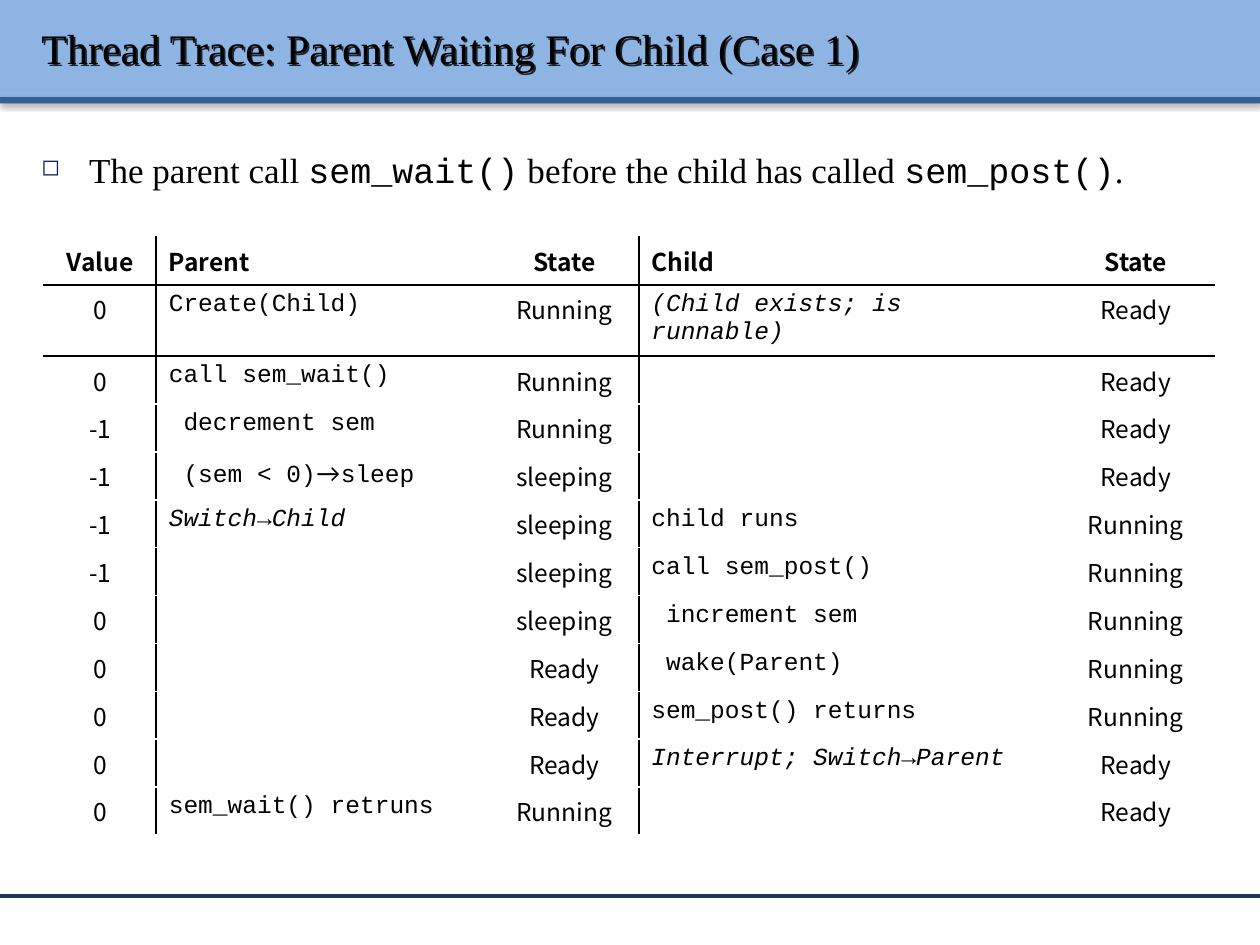
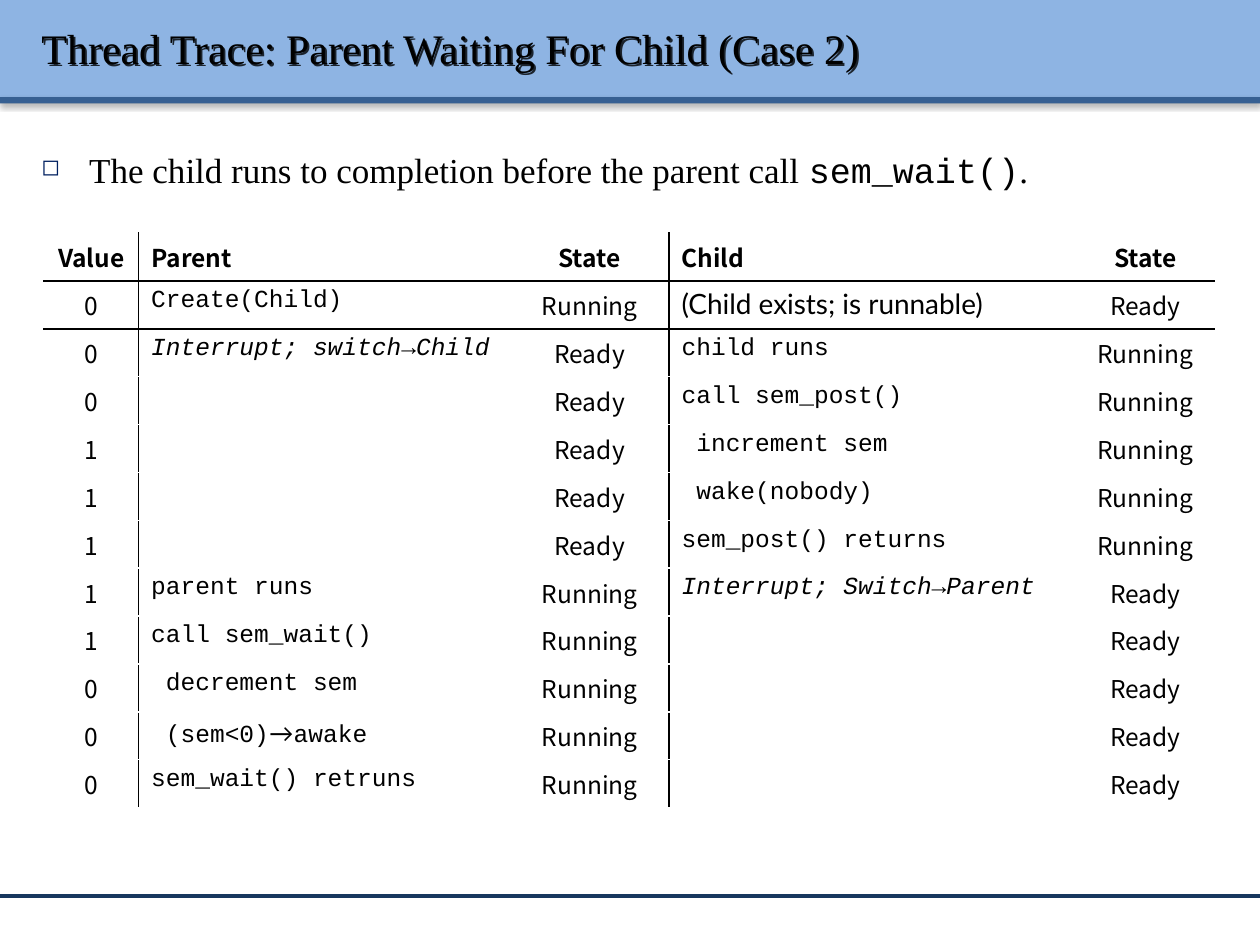
from collections import namedtuple

from lxml import etree
from pptx import Presentation
from pptx.dml.color import RGBColor
from pptx.enum.shapes import MSO_CONNECTOR, MSO_SHAPE
from pptx.enum.text import MSO_ANCHOR, PP_ALIGN
from pptx.oxml.ns import qn
from pptx.util import Inches, Pt

BLACK = RGBColor(0x00, 0x00, 0x00)
WHITE = RGBColor(0xFF, 0xFF, 0xFF)
BAND_BLUE = RGBColor(0x8E, 0xB4, 0xE3)
STRIPE_BLUE = RGBColor(0x37, 0x60, 0x92)
FOOTER_BLUE = RGBColor(0x17, 0x37, 0x5E)
BULLET_BLUE = RGBColor(0x00, 0x20, 0x60)

Style = namedtuple("Style", "font size bold italic", defaults=(False, False))
TITLE = Style("Times New Roman", 24)
PROSE = Style("Times New Roman", 20)
PROSE_CODE = Style("Courier New", 20)
HEADER = Style("Noto Sans CJK KR", 14, bold=True)
STATE = Style("Noto Sans CJK KR", 14)
CODE = Style("Courier New", 14)
EVENT = Style("Courier New", 14, italic=True)
ARROW = Style("Lato", 14)
REMARK = Style("Lato", 16)

HEADINGS = ("Value", "Parent", "State", "Child", "State")
CODE_COLUMNS = (1, 3)
RULED_COLUMNS = (0, 2)
LAST_RULED_ROW = 1
ROW_HEIGHT = 0.38

CASES = [
    {
        "title": "Thread Trace: Parent Waiting For Child (Case 1)",
        "summary": [
            ("The parent call ", PROSE), ("sem_wait()", PROSE_CODE),
            (" before the child has called ", PROSE),
            ("sem_post()", PROSE_CODE), (".", PROSE),
        ],
        "top": 1.88,
        "widths": (0.89, 2.65, 1.18, 3.32, 1.25),
        "trace": [
            ("0", "Create(Child)", "Running", [("(Child exists; is runnable)", EVENT)], "Ready"),
            ("0", "call sem_wait()", "Running", "", "Ready"),
            ("-1", " decrement sem", "Running", "", "Ready"),
            ("-1", [(" (sem < 0)", CODE), ("→", ARROW), ("sleep", CODE)], "sleeping", "", "Ready"),
            ("-1", [("Switch→Child", EVENT)], "sleeping", "child runs", "Running"),
            ("-1", "", "sleeping", "call sem_post()", "Running"),
            ("0", "", "sleeping", " increment sem", "Running"),
            ("0", "", "Ready", " wake(Parent)", "Running"),
            ("0", "", "Ready", "sem_post() returns", "Running"),
            ("0", "", "Ready", [("Interrupt; Switch→Parent", EVENT)], "Ready"),
            ("0", "sem_wait() retruns", "Running", "", "Ready"),
        ],
    },
    {
        "title": "Thread Trace: Parent Waiting For Child (Case 2)",
        "summary": [
            ("The child runs to completion before the parent call ", PROSE),
            ("sem_wait()", PROSE_CODE), (".", PROSE),
        ],
        "top": 1.85,
        "widths": (0.75, 2.95, 1.26, 3.23, 1.1),
        "trace": [
            ("0", "Create(Child)", "Running", [("(Child exists; is runnable)", REMARK)], "Ready"),
            ("0", [("Interrupt; switch→Child", EVENT)], "Ready", "child runs", "Running"),
            ("0", "", "Ready", "call sem_post()", "Running"),
            ("1", "", "Ready", " increment sem", "Running"),
            ("1", "", "Ready", " wake(nobody)", "Running"),
            ("1", "", "Ready", "sem_post() returns", "Running"),
            ("1", "parent runs", "Running", [("Interrupt; Switch→Parent", EVENT)], "Ready"),
            ("1", "call sem_wait()", "Running", "", "Ready"),
            ("0", " decrement sem", "Running", "", "Ready"),
            ("0", [(" (sem<0)", CODE), ("→", ARROW), ("awake", CODE)], "Running", "", "Ready"),
            ("0", "sem_wait() retruns", "Running", "", "Ready"),
        ],
    },
]


def add_element(parent, tag, **attributes):
    element = etree.SubElement(parent, qn(tag))
    for name, value in attributes.items():
        element.set(name, str(value))
    return element


def add_shadow(shape, blur, distance, degrees, opacity):
    shape.shadow.inherit = False
    effects = shape._element.spPr.find(qn("a:effectLst"))
    shadow = add_element(effects, "a:outerShdw", blurRad=Pt(blur), dist=Pt(distance),
                         dir=degrees * 60000, rotWithShape=0)
    color = add_element(shadow, "a:srgbClr", val=BLACK)
    add_element(color, "a:alpha", val=opacity * 1000)


def add_runs(para, runs):
    for text, style in runs:
        span = para.add_run()
        span.text = text
        span.font.name = style.font
        span.font.size = Pt(style.size)
        span.font.bold = style.bold
        span.font.italic = style.italic
        span.font.color.rgb = BLACK


def add_band(page, top, height, color):
    band = page.shapes.add_shape(MSO_SHAPE.RECTANGLE, 0, Inches(top), Inches(10), Inches(height))
    band.fill.solid()
    band.fill.fore_color.rgb = color
    band.line.fill.background()
    add_shadow(band, 3.1, 1.6, 90, 38)


def add_frame(page):
    add_band(page, 0, 0.77, BAND_BLUE)
    add_band(page, 0.77, 0.05, STRIPE_BLUE)
    footer = page.shapes.add_connector(
        MSO_CONNECTOR.STRAIGHT, 0, Inches(7.11), Inches(10), Inches(7.11))
    footer.line.color.rgb = FOOTER_BLUE
    footer.line.width = Pt(2)
    add_element(footer._element.spPr, "a:effectLst")


def add_text(page, top, height, runs):
    box = page.shapes.add_textbox(Inches(0.23), Inches(top), Inches(9.61), Inches(height))
    box.text_frame.word_wrap = True
    add_runs(box.text_frame.paragraphs[0], runs)
    return box


def add_title(page, title):
    box = add_text(page, 0.06, 0.64, [(title, TITLE)])
    box.text_frame.vertical_anchor = MSO_ANCHOR.MIDDLE
    add_shadow(box, 0, 1.5, 45, 80)


def add_summary(page, runs):
    para = add_text(page, 0.96, 6.02, runs).text_frame.paragraphs[0]
    para.line_spacing = 1.5
    properties = para._p.get_or_add_pPr()
    properties.set("marL", str(Inches(0.38)))
    properties.set("indent", str(-Inches(0.38)))
    color = add_element(properties, "a:buClr")
    add_element(color, "a:srgbClr", val=BULLET_BLUE)
    add_element(properties, "a:buSzPct", val=65000)
    add_element(properties, "a:buChar", char="◻")


def set_border(cell, side, color, width):
    line = add_element(cell._tc.get_or_add_tcPr(), f"a:{side}", w=Pt(width))
    fill = add_element(line, "a:solidFill")
    add_element(fill, "a:srgbClr", val=color)


def set_borders(cell, row, column):
    black_sides = {
        "lnL": column - 1 in RULED_COLUMNS,
        "lnR": column in RULED_COLUMNS,
        "lnT": 0 <= row - 1 <= LAST_RULED_ROW,
        "lnB": row <= LAST_RULED_ROW,
    }
    for side, black in black_sides.items():
        wide = black and side in ("lnT", "lnB")
        set_border(cell, side, BLACK if black else WHITE, 1.5 if wide else 1)


def fill_cell(cell, content, row, column):
    para = cell.text_frame.paragraphs[0]
    in_code = column in CODE_COLUMNS
    para.alignment = PP_ALIGN.LEFT if in_code else PP_ALIGN.CENTER
    style = HEADER if row == 0 else CODE if in_code else STATE
    if not content:
        add_element(para._p, "a:endParaRPr", sz=style.size * 100)
    else:
        add_runs(para, [(content, style)] if isinstance(content, str) else content)
    set_borders(cell, row, column)
    cell.fill.background()


def add_trace(page, case):
    rows = [HEADINGS] + case["trace"]
    frame = page.shapes.add_table(
        len(rows), len(HEADINGS), Inches(0.35), Inches(case["top"]),
        Inches(sum(case["widths"])), Inches(ROW_HEIGHT * len(rows)))
    table = frame.table
    table.first_row = False
    table.horz_banding = False
    for column, width in zip(table.columns, case["widths"]):
        column.width = Inches(width)
    for row, contents in enumerate(rows):
        table.rows[row].height = Inches(ROW_HEIGHT)
        for column, content in enumerate(contents):
            fill_cell(table.cell(row, column), content, row, column)


def main():
    deck = Presentation()
    deck.slide_width = Inches(10)
    deck.slide_height = Inches(7.5)
    for case in CASES:
        page = deck.slides.add_slide(deck.slide_layouts[6])
        add_frame(page)
        add_title(page, case["title"])
        add_summary(page, case["summary"])
        add_trace(page, case)
    deck.save("out.pptx")


if __name__ == "__main__":
    main()
